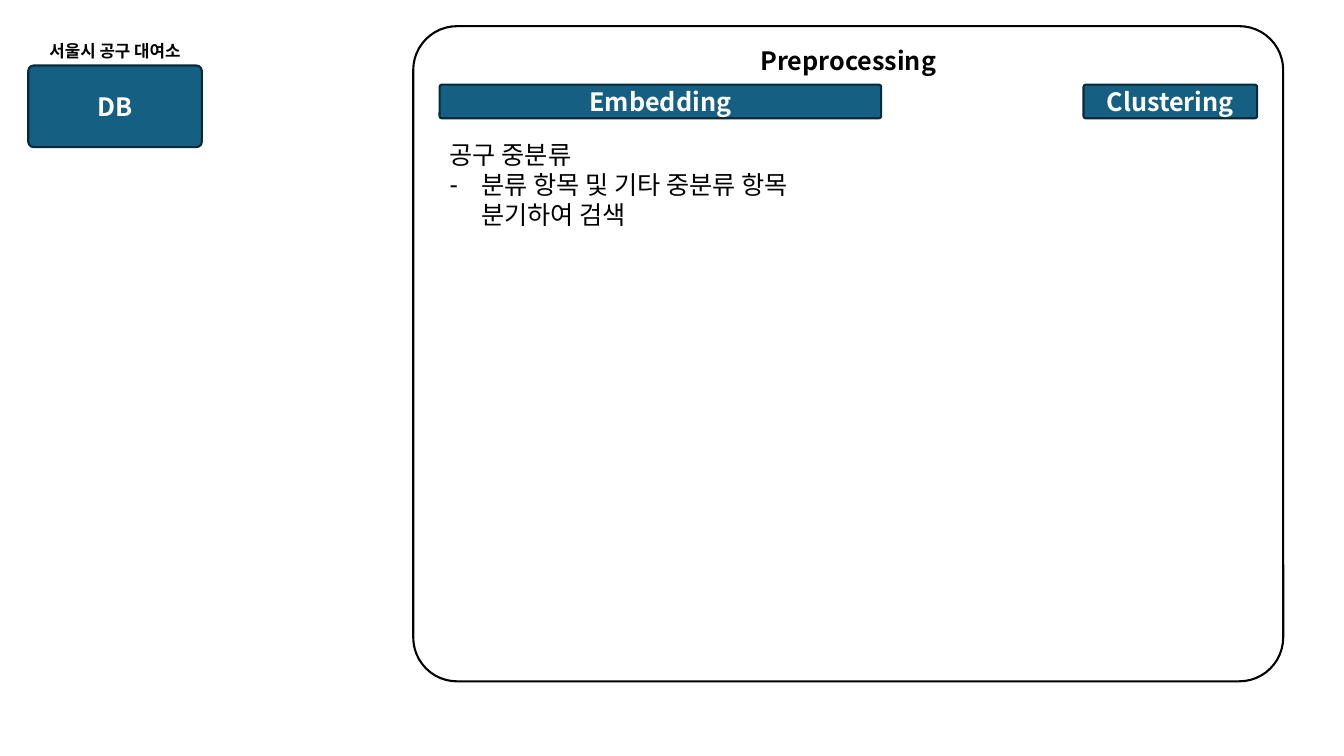
import pptx
import pptx.dml.color
import pptx.enum.shapes
import pptx.enum.text
import pptx.oxml.ns
import pptx.util
from dataclasses import dataclass
from lxml import etree

Pt = pptx.util.Pt
ALIGN = pptx.enum.text.PP_ALIGN
ANCHOR = pptx.enum.text.MSO_ANCHOR
qn = pptx.oxml.ns.qn


@dataclass(frozen=True)
class Theme:
    font: str = "Noto Sans CJK KR"
    ink: str = "000000"
    light: str = "FFFFFF"
    fill: str = "156082"
    edge: str = "092A39"
    text_size: float = 18
    caption_size: float = 12
    line_width: float = 1.5
    corner: float = 0.067


THEME = Theme()


def colour(code):
    return pptx.dml.color.RGBColor.from_string(code)


def apply_format(target, values):
    for name, value in values.items():
        setattr(target, name, value)


def place(shape, left, top, width, height):
    apply_format(shape, {"left": Pt(left), "top": Pt(top),
                         "width": Pt(width), "height": Pt(height)})


def style_paragraph(para, align, ink, size, bold):
    apply_format(para, {"alignment": align, "line_spacing": 1.0,
                        "space_before": Pt(0), "space_after": Pt(0)})
    for span in para.runs:
        apply_format(span.font, {"name": THEME.font, "size": Pt(size), "bold": bold})
        span.font.color.rgb = colour(ink)
        east_asian = etree.SubElement(span.font._element, qn("a:ea"))
        east_asian.set("typeface", THEME.font)


def write(box, lines, anchor=ANCHOR.TOP, align=ALIGN.CENTER, ink=THEME.ink,
          size=THEME.text_size, bold=True):
    """Fill a box with one paragraph per line; a vertical tab breaks a line."""
    frame = box.text_frame
    apply_format(frame, {"word_wrap": True, "vertical_anchor": anchor,
                         "auto_size": pptx.enum.text.MSO_AUTO_SIZE.NONE})
    frame.text = "\n".join(lines)
    for para in frame.paragraphs:
        style_paragraph(para, align, ink, size, bold)


def set_bullet(para, mark, indent):
    """Give a paragraph a hanging bullet, or none when mark is empty."""
    properties = para._p.get_or_add_pPr()
    properties.set("marL", str(Pt(indent)))
    properties.set("indent", str(-Pt(indent)))
    if mark:
        etree.SubElement(properties, qn("a:buFontTx"))
        etree.SubElement(properties, qn("a:buChar")).set("char", mark)
    else:
        etree.SubElement(properties, qn("a:buNone"))


def add_rounded(page, area, edge, fill=None):
    kind = pptx.enum.shapes.MSO_SHAPE.ROUNDED_RECTANGLE
    box = page.shapes.add_shape(kind, *map(Pt, area))
    box.adjustments[0] = THEME.corner
    box.shadow.inherit = False
    box.line.color.rgb = colour(edge)
    box.line.width = Pt(THEME.line_width)
    if fill:
        box.fill.solid()
        box.fill.fore_color.rgb = colour(fill)
    else:
        box.fill.background()
    return box


def add_block(page, label, area):
    block = add_rounded(page, area, THEME.edge, THEME.fill)
    write(block, [label], ANCHOR.MIDDLE, ink=THEME.light)


def add_caption(page, label, area):
    caption = page.shapes.add_textbox(*map(Pt, area))
    write(caption, [label], size=THEME.caption_size)


def fill_title(page, label, area):
    title = page.shapes.title
    place(title, *area)
    write(title, [label], ANCHOR.MIDDLE)


def fill_list(page, heading, items, area):
    body = page.placeholders[1]
    place(body, *area)
    write(body, [heading, *items], align=ALIGN.LEFT, bold=False)
    first, *rest = body.text_frame.paragraphs
    set_bullet(first, "", 0)
    for para in rest:
        set_bullet(para, "-", 22.5)


def main():
    deck = pptx.Presentation()
    apply_format(deck, {"slide_width": Pt(960), "slide_height": Pt(540)})
    page = deck.slides.add_slide(deck.slide_layouts[1])

    panel_left, panel_width = 295.2, 621.4
    database_left, block_width = 20.2, 124
    embedding_left, embedding_width = 314, 315.4
    header_top, header_height = 60.5, 24

    add_rounded(page, (panel_left, 18.7, panel_width, 468), THEME.ink)
    fill_title(page, "Preprocessing", (panel_left, 28, panel_width, 30))
    add_block(page, "Embedding",
              (embedding_left, header_top, embedding_width, header_height))
    add_block(page, "DB", (database_left, 46.8, block_width, 58.3))
    add_block(page, "Clustering", (774, header_top, block_width, header_height))
    add_caption(page, "서울시 공구 대여소", (database_left, 25.9, block_width, 21.6))
    fill_list(page, "공구 중분류", ["분류 항목 및 기타 중분류 항목\v분기하여 검색"],
              (embedding_left, 95.8, embedding_width, 94.3))
    deck.save("out.pptx")


if __name__ == "__main__":
    main()
